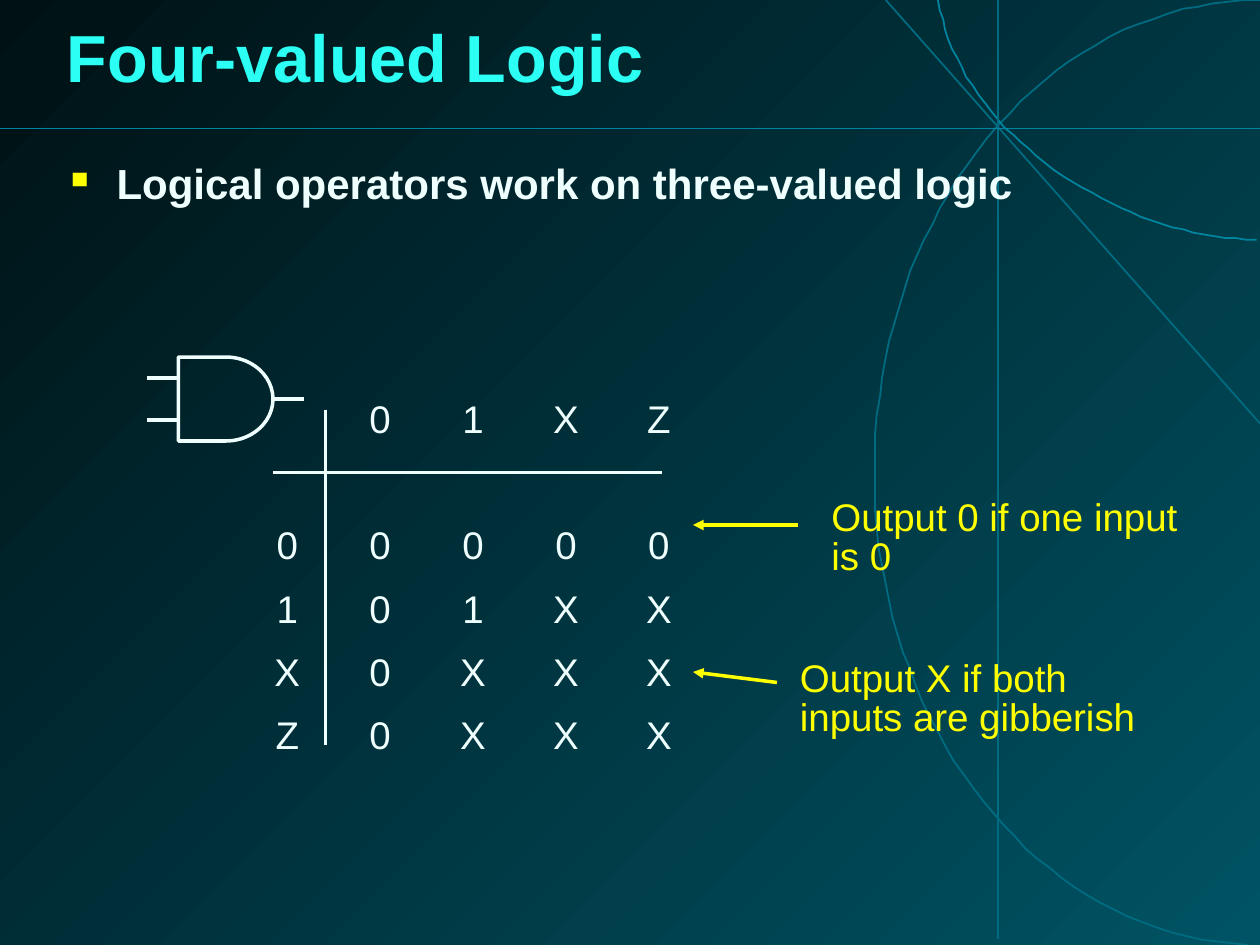
import lxml.etree
import pptx
import pptx.dml.color
import pptx.enum.shapes
import pptx.enum.text
import pptx.oxml.ns
import pptx.util

Pt = pptx.util.Pt
RGBColor = pptx.dml.color.RGBColor
MSO_ANCHOR = pptx.enum.text.MSO_ANCHOR
PP_ALIGN = pptx.enum.text.PP_ALIGN
qn = pptx.oxml.ns.qn

DARK = RGBColor(0x00, 0x11, 0x14)
TEAL = RGBColor(0x00, 0x53, 0x64)
DIM = RGBColor(0x00, 0x6C, 0x82)
BRIGHT = RGBColor(0x00, 0x85, 0xA0)
CYAN = RGBColor(0x2C, 0xFF, 0xF3)
WHITE = RGBColor(0xEF, 0xFF, 0xFD)
YELLOW = RGBColor(0xFF, 0xFF, 0x00)
BLACK = RGBColor(0x00, 0x00, 0x00)

NO_STYLE = "{2D5ABB26-0587-4C30-8999-92F81FD0307C}"


def add_xml(parent, tag, **attrs):
    return lxml.etree.SubElement(parent, qn(tag), attrs)


def cubic(p0, p1, p2, p3, steps=40):
    for i in range(steps + 1):
        t = i / steps
        u = 1 - t
        weights = (u ** 3, 3 * u * u * t, 3 * u * t * t, t ** 3)
        yield tuple(sum(w * c for w, c in zip(weights, axis))
                    for axis in zip(p0, p1, p2, p3))


class Deck:
    font = "Arial"
    thin, thick = 1, 2

    def __init__(self, width, height):
        self.prs = pptx.Presentation()
        self.prs.slide_width, self.prs.slide_height = Pt(width), Pt(height)
        self.s = self.prs.slides.add_slide(self.prs.slide_layouts[5])

    def background(self, start, end):
        fill = self.s.background.fill
        fill.gradient()
        fill.gradient_angle = 315
        for stop, color in zip(fill.gradient_stops, (start, end)):
            stop.color.rgb = color

    def outline(self, sp, color, width):
        sp.line.color.rgb = color
        sp.line.width = Pt(width)

    def line(self, x1, y1, x2, y2, color, width=thick, arrow=False):
        sp = self.s.shapes.add_connector(
            pptx.enum.shapes.MSO_CONNECTOR.STRAIGHT, Pt(x1), Pt(y1), Pt(x2), Pt(y2))
        self.outline(sp, color, width)
        if arrow:
            add_xml(sp.line._get_or_add_ln(), "a:tailEnd", type="triangle")
        add_xml(sp._element.spPr, "a:effectLst")

    def curve(self, points, color):
        points = list(points)
        builder = self.s.shapes.build_freeform(*points[0], scale=Pt(1))
        builder.add_line_segments(points[1:], close=False)
        sp = builder.convert_to_shape()
        sp.fill.background()
        sp.shadow.inherit = False
        self.outline(sp, color, self.thin)

    def gate(self, x, y, w, h):
        sp = self.s.shapes.add_shape(
            pptx.enum.shapes.MSO_SHAPE.FLOWCHART_DELAY, Pt(x), Pt(y), Pt(w), Pt(h))
        sp.fill.background()
        sp.shadow.inherit = False
        self.outline(sp, WHITE, self.thick)

    def paragraph(self, tf, text, size, color, bold=False, spacing=None,
                  align=PP_ALIGN.LEFT):
        p = tf.paragraphs[0]
        for name, value in {"alignment": align, "line_spacing": spacing}.items():
            setattr(p, name, value)
        r = p.add_run()
        r.text = text
        form = {"name": self.font, "size": Pt(size), "bold": bold}
        for name, value in form.items():
            setattr(r.font, name, value)
        r.font.color.rgb = color
        return p

    def title(self, text, x, y, w, h):
        sp = self.s.shapes.title
        place = {"left": x, "top": y, "width": w, "height": h}
        for name, value in place.items():
            setattr(sp, name, Pt(value))
        sp._element.getparent().append(sp._element)
        tf = sp.text_frame
        tf.vertical_anchor = MSO_ANCHOR.MIDDLE
        tf.auto_size = pptx.enum.text.MSO_AUTO_SIZE.NONE
        p = self.paragraph(tf, text, 38, CYAN, True, 0.87)
        effects = lxml.etree.Element(qn("a:effectLst"))
        shadow = add_xml(effects, "a:outerShdw", dist="53882", dir="2700000")
        add_xml(shadow, "a:srgbClr", val=str(BLACK))
        p.runs[0]._r.rPr.find(qn("a:solidFill")).addnext(effects)

    def text(self, text, x, y, w, h, size, color, bold=False, spacing=0.85,
             bullet=None):
        tf = self.s.shapes.add_textbox(Pt(x), Pt(y), Pt(w), Pt(h)).text_frame
        tf.word_wrap = True
        if bullet:
            pPr = tf.paragraphs[0]._p.get_or_add_pPr()
            pPr.set("marL", str(Pt(30)))
            pPr.set("indent", str(Pt(-30)))
            add_xml(add_xml(pPr, "a:buClr"), "a:srgbClr", val=str(YELLOW))
            add_xml(pPr, "a:buChar", char=bullet)
        self.paragraph(tf, text, size, color, bold, spacing)

    def table(self, rows, x, y, col_w, head_h, row_h):
        heights = [head_h] + [row_h] * (len(rows) - 1)
        table = self.s.shapes.add_table(
            len(rows), len(rows[0]), Pt(x), Pt(y),
            Pt(col_w * len(rows[0])), Pt(sum(heights))).table
        table._tbl.tblPr.find(qn("a:tableStyleId")).text = NO_STYLE
        table.first_row = table.horz_banding = False
        for column in table.columns:
            column.width = Pt(col_w)
        for row, height, values in zip(table.rows, heights, rows):
            row.height = Pt(height)
            for cell, value in zip(row.cells, values):
                cell.fill.background()
                cell.margin_top, cell.margin_bottom = Pt(5.4), Pt(0)
                self.paragraph(cell.text_frame, value.strip(), 22, WHITE,
                               align=PP_ALIGN.CENTER)


def main():
    d = Deck(720, 540)
    d.background(DARK, TEAL)

    lower = cubic((712.8, 540), (594, 535), (499.7, 415.4), (499.7, 270))
    upper = cubic((499.7, 270), (499.7, 121), (598.3, 0), (720, 0))
    d.curve([*lower, *upper], DIM)
    d.curve(cubic((717.8, 136.8), (639.4, 136), (549, 77), (536.2, 0)), BRIGHT)
    d.line(720, 242, 506.2, 0, DIM, d.thin)
    d.line(570.2, 0, 570.2, 536.4, DIM, d.thin)
    d.line(0, 73.4, 720, 73.4, BRIGHT, d.thin)

    d.title("Four-valued Logic", 31, 0, 663, 70.6)
    d.text("Logical operators work on three-valued logic",
           29.5, 89.3, 656.6, 402.5, 24, WHITE, True, 0.93, "▪")

    d.table([" 01XZ", "00000", "101XX", "X0XXX", "Z0XXX"],
            137.6, 222.5, 53.1, 72, 36.2)
    d.line(156, 270, 378, 270, WHITE)
    d.line(186, 234, 186, 426, WHITE)

    d.gate(102, 204, 54, 48)
    for x, y in [(156, 228), (84, 216), (84, 240)]:
        d.line(x, y, x + 18, y, WHITE)

    d.line(456, 300, 396, 300, YELLOW, arrow=True)
    d.line(444, 390, 396, 384, YELLOW, arrow=True)
    d.text("Output 0 if one input is 0", 468, 282, 228, 52.5, 22, YELLOW)
    d.text("Output X if both inputs are gibberish", 450, 374, 228, 52.5, 22, YELLOW)

    d.prs.save("out.pptx")


if __name__ == "__main__":
    main()
